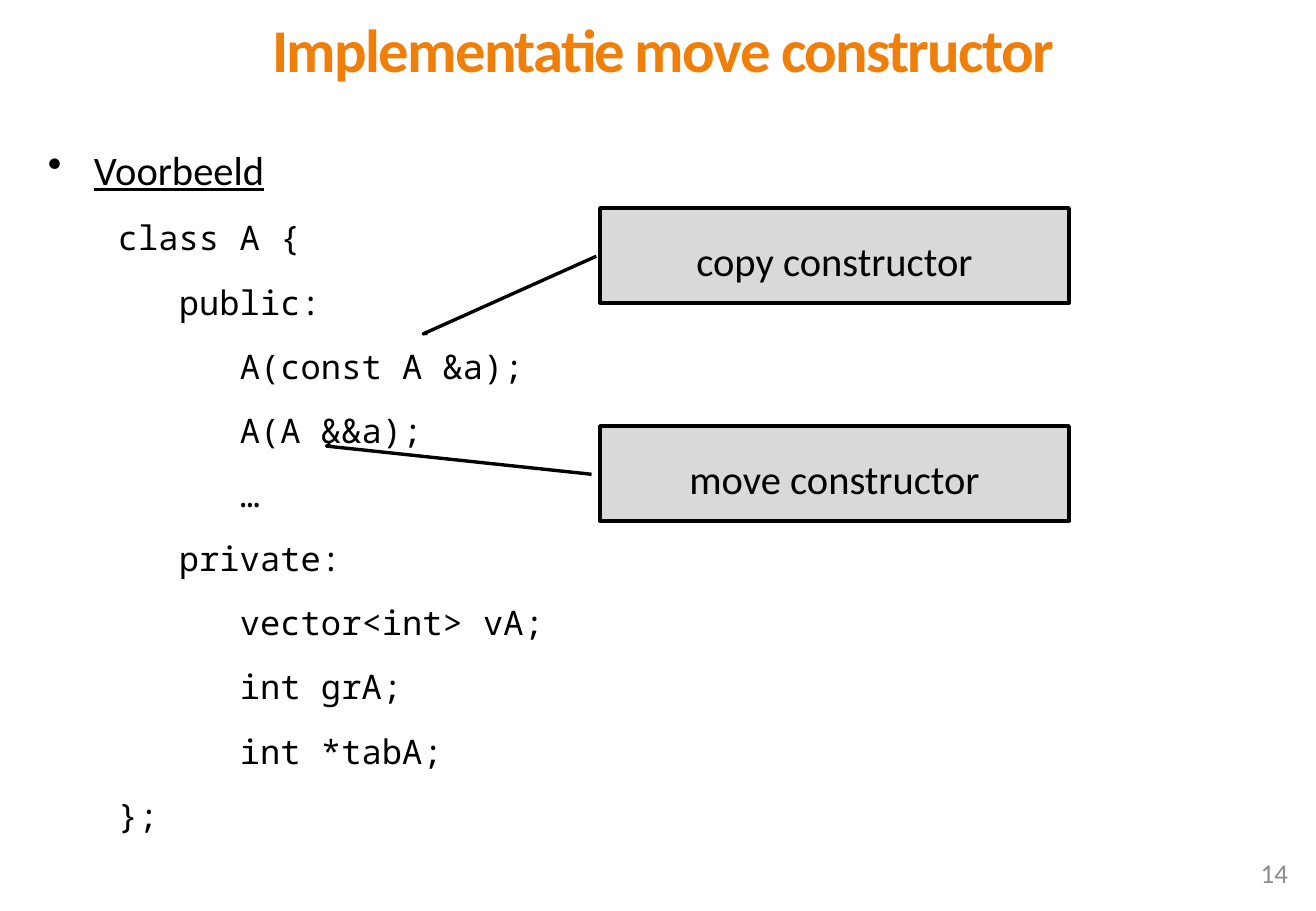
"""Build a slide that shows the copy and move constructors of a class."""
from lxml import etree
from pptx import Presentation
from pptx import util as u
from pptx.dml.color import RGBColor
from pptx.enum import shapes, text
from pptx.oxml.ns import qn

COLOURS = {"title": "F07F09", "ink": "000000", "panel": "D9D9D9", "number": "8C8C8C"}
SANS, MONO = "Calibri", "Noto Sans Mono"
BULLET_INDENT, CODE_INDENT, CODE_STEP = 46, 70, 61
CODE = [
    (0, "class A {"),
    (1, "public:"),
    (2, "A(const A &a);"),
    (2, "A(A &&a);"),
    (2, "…"),
    (1, "private:"),
    (2, "vector<int> vA;"),
    (2, "int grA;"),
    (2, "int *tabA;"),
    (0, "};"),
]
CALLOUTS = [
    ("copy constructor", 208, (0.509, -0.008, 1.326, -0.377, 1.319, -0.368)),
    ("move constructor", 426, (0.509, -0.018, 0.212, -0.583, 0.189, -0.575)),
]


def px(count):
    """Turn pixels into EMU."""
    return u.Emu(round(count * 914400 / 121.5))


def colour(name):
    """Return a named colour."""
    return RGBColor.from_string(COLOURS[name])


def add_box(page, left, top, width, height, anchor):
    """Add a wrapping text box and return its text frame."""
    frame = page.shapes.add_textbox(px(left), px(top), px(width), px(height)).text_frame
    frame.word_wrap = True
    frame.vertical_anchor = anchor
    return frame


def write(para, words, size, ink="ink", face=SANS, align=text.PP_ALIGN.LEFT, spacing=None):
    """Fill a paragraph with words in one style."""
    para.text = words
    para.alignment = align
    para.line_spacing = spacing
    para.font.size = u.Pt(size)
    para.font.name = face
    para.font.color.rgb = colour(ink)


def indent(para, margin, hanging=0):
    """Set the left margin and hanging indent of a paragraph."""
    properties = para._p.get_or_add_pPr()
    properties.set("marL", str(px(margin)))
    properties.set("indent", str(px(-hanging)))
    return properties


def add_title(page, words):
    """Add the tightly spaced bold title."""
    para = add_box(page, 46, 1, 1234, 101, text.MSO_ANCHOR.MIDDLE).paragraphs[0]
    write(para, words, 36, "title", align=text.PP_ALIGN.CENTER, spacing=0.96)
    para.font.bold = True
    para.runs[0]._r.get_or_add_rPr().set("spc", "-100")


def add_example(page, heading, code):
    """Add the bulleted heading with the code lines below it."""
    frame = add_box(page, 36, 120, 1244, 746, text.MSO_ANCHOR.TOP)
    para = frame.paragraphs[0]
    write(para, heading, 24, spacing=u.Pt(40))
    para.font.underline = True
    properties = indent(para, BULLET_INDENT, BULLET_INDENT)
    bullet = etree.Element(qn("a:buChar"), char="•")
    properties.find(qn("a:defRPr")).addprevious(bullet)
    for level, line in code:
        para = frame.add_paragraph()
        write(para, line, 20, face=MONO, spacing=u.Pt(32))
        para.space_before = u.Pt(6)
        indent(para, CODE_INDENT + level * CODE_STEP)


def add_callout(page, words, top, pointer):
    """Add a grey callout whose pointer leads to a code line."""
    callout = page.shapes.add_shape(
        shapes.MSO_SHAPE.LINE_CALLOUT_2, px(600), px(top), px(469), px(95))
    for index, value in enumerate(pointer):
        callout.adjustments[index] = value
    callout.shadow.inherit = False
    callout.fill.solid()
    callout.fill.fore_color.rgb = colour("panel")
    callout.line.color.rgb = colour("ink")
    callout.line.width = u.Pt(2)
    callout.text_frame.vertical_anchor = text.MSO_ANCHOR.MIDDLE
    write(callout.text_frame.paragraphs[0], words, 24,
          align=text.PP_ALIGN.CENTER, spacing=u.Pt(35))


def add_page_number(page, number):
    """Add the page number at the lower right."""
    frame = add_box(page, 993, 848, 307, 49, text.MSO_ANCHOR.MIDDLE)
    write(frame.paragraphs[0], number, 16, "number", align=text.PP_ALIGN.RIGHT)


def main():
    """Build and save the deck."""
    deck = Presentation()
    deck.slide_width, deck.slide_height = px(1316), px(911)
    page = deck.slides.add_slide(deck.slide_layouts[6])
    add_example(page, "Voorbeeld", CODE)
    add_title(page, "Implementatie move constructor")
    for words, top, pointer in CALLOUTS:
        add_callout(page, words, top, pointer)
    add_page_number(page, "14")
    deck.save("out.pptx")


if __name__ == "__main__":
    main()
